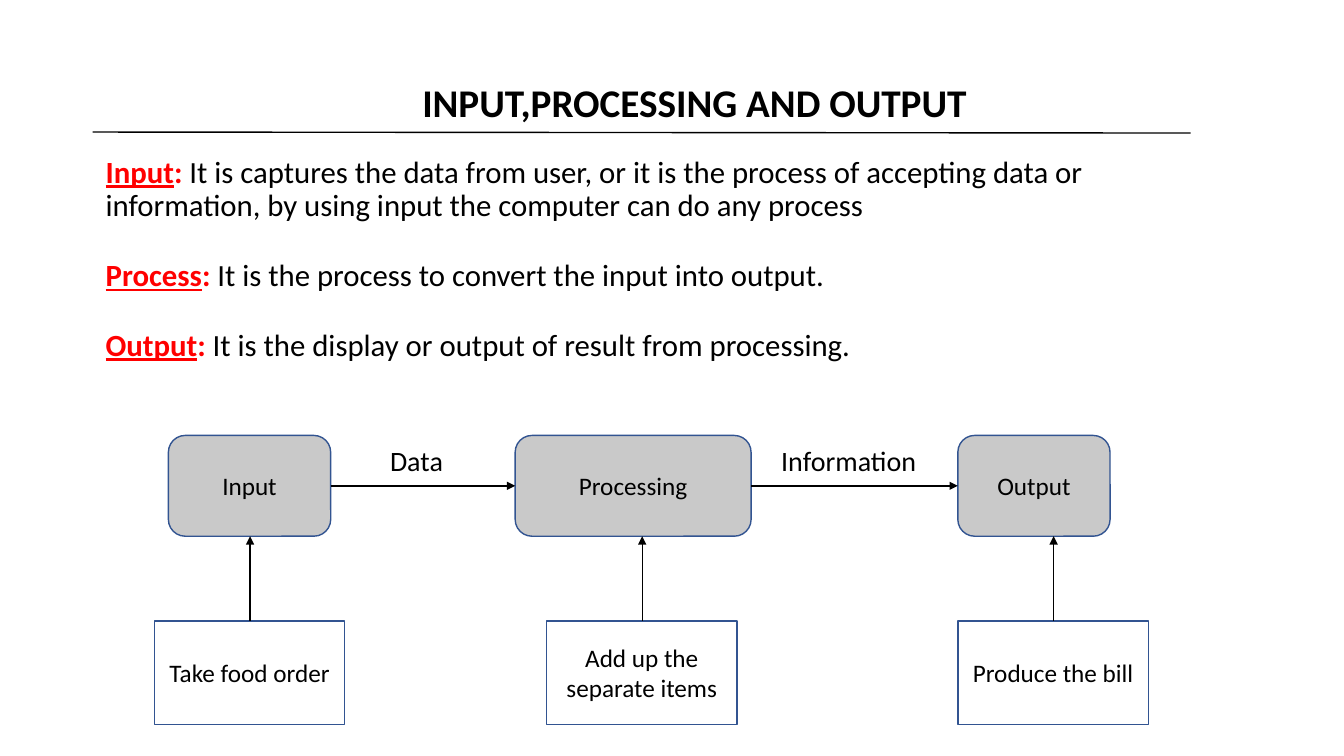
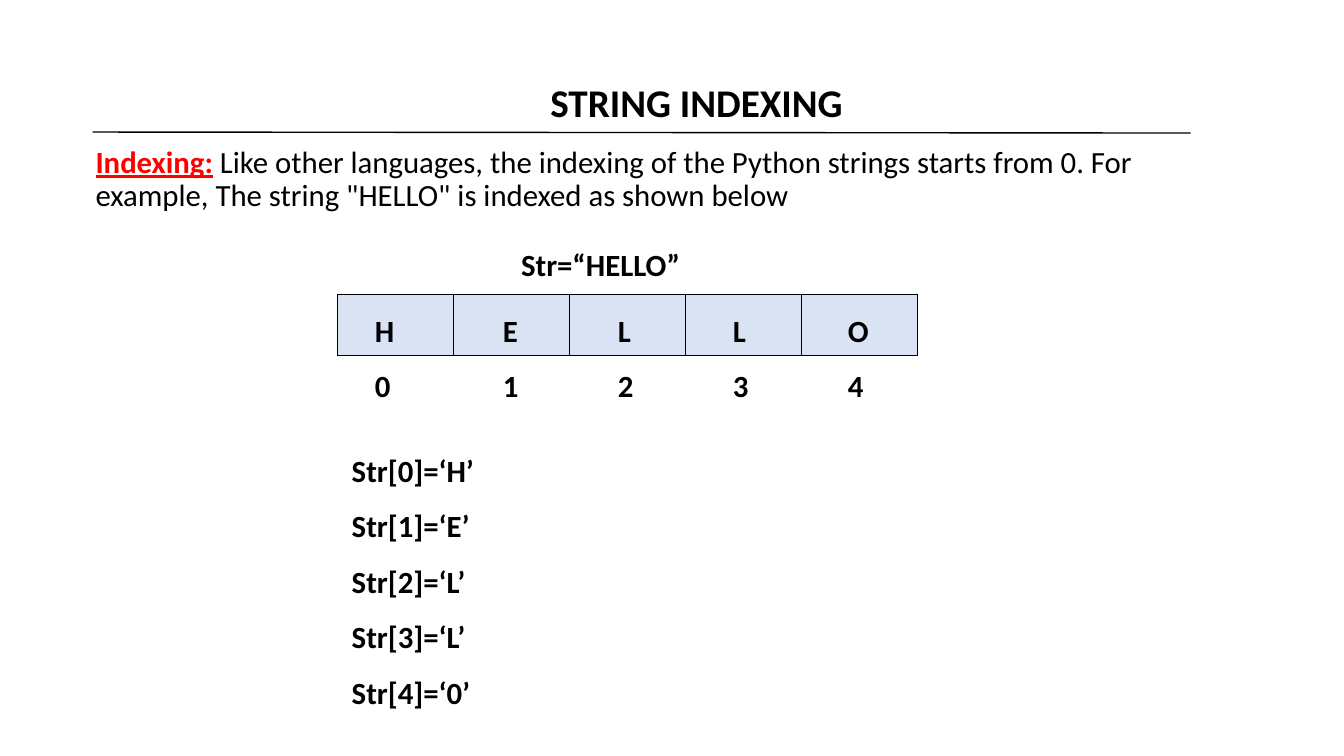
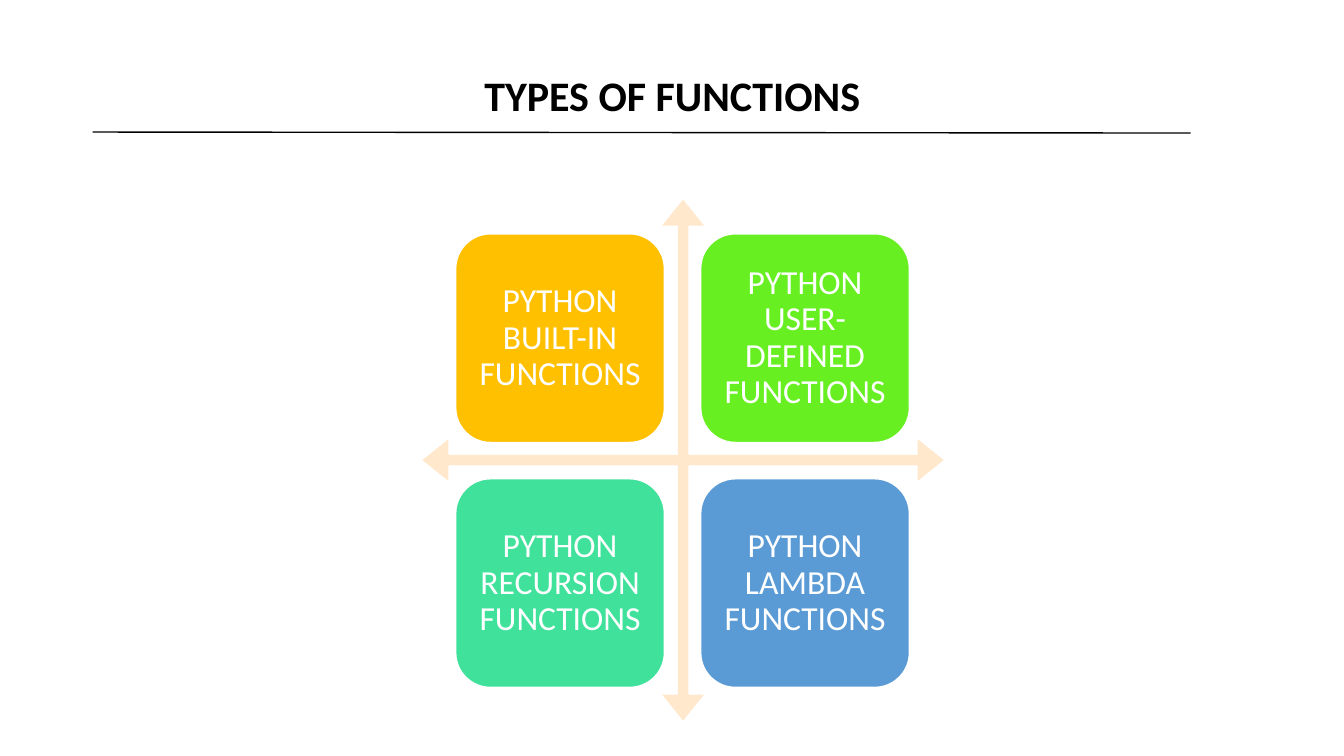
"""Build three slides on input and output, string indexing and function types."""
from dataclasses import dataclass

from lxml import etree
from pptx import Presentation
from pptx import util as u
from pptx.dml.color import RGBColor
from pptx.enum import shapes, text
from pptx.oxml import parse_xml
from pptx.oxml.ns import nsdecls, qn


@dataclass(frozen=True)
class Theme:
    font: str = "Calibri"
    ink: str = "000000"
    key: str = "FF0000"
    edge: str = "325491"
    gray: str = "C9C9C9"
    cell: str = "DAE3F3"
    white: str = "FFFFFF"
    cross: str = "FFE8CC"
    gold: str = "FFC000"
    lime: str = "67EF21"
    mint: str = "3FE19B"
    blue: str = "5B9BD5"
    head: int = 28
    wide: int = 30
    card: int = 24
    body: int = 22
    label: int = 20
    node: int = 18


T = Theme()
PX = u.Inches(1) // 100
LEFT, MID = text.PP_ALIGN.LEFT, text.PP_ALIGN.CENTER
TOP, HALF = text.MSO_ANCHOR.TOP, text.MSO_ANCHOR.MIDDLE
ROUND, RECT = shapes.MSO_SHAPE.ROUNDED_RECTANGLE, shapes.MSO_SHAPE.RECTANGLE


def box(slide, at, paras, size, kind=None, fill=None, edge=None, ink=T.ink,
        bold=False, align=LEFT, anchor=TOP, gaps=(1, 1), before=0):
    spot = [n * PX for n in at]
    if kind is None:
        item = slide.shapes.add_textbox(*spot)
    else:
        item = slide.shapes.add_shape(kind, *spot)
        item.shadow.inherit = False
        item.fill.background()
        item.line.fill.background()
        if fill:
            item.fill.solid()
            item.fill.fore_color.rgb = RGBColor.from_string(fill)
        if edge:
            item.line.color.rgb = RGBColor.from_string(edge)
            item.line.width = u.Pt(1)
    frame = item.text_frame
    frame.word_wrap = True
    frame.vertical_anchor = anchor
    for i, runs in enumerate(paras):
        para = frame.add_paragraph() if i else frame.paragraphs[0]
        para.alignment = align
        para.line_spacing = gaps[i > 0]
        if i:
            para.space_before = u.Pt(before)
        for words, *mark in runs:
            run = para.add_run()
            run.text = words
            font = run.font
            font.name, font.size = T.font, u.Pt(size)
            font.bold = bold or bool(mark)
            font.underline = "line" in mark
            font.color.rgb = RGBColor.from_string(T.key if mark else ink)
    return item


def link(slide, ends, arrow=False):
    wire = slide.shapes.add_connector(shapes.MSO_CONNECTOR.STRAIGHT, *(n * PX for n in ends))
    wire.line.color.rgb = RGBColor.from_string(T.ink)
    wire.line.width = u.Pt(1)
    if arrow:
        etree.SubElement(wire.line._get_or_add_ln(), qn("a:tailEnd"), type="triangle")
    etree.SubElement(wire._element.spPr, qn("a:effectLst"))


deck = Presentation()
deck.slide_width, deck.slide_height = 1333 * PX, 750 * PX

heads = [
    ("INPUT,PROCESSING AND OUTPUT", (409, 73, 800, 57), T.head, LEFT, TOP),
    ("STRING INDEXING", (536, 73, 700, 57), T.head, LEFT, TOP),
    ("TYPES OF FUNCTIONS", (92, 63, 1150, 69), T.wide, MID, HALF),
]
for title, at, size, align, anchor in heads:
    slide = deck.slides.add_slide(deck.slide_layouts[6])
    link(slide, (92, 131, 1181, 132))
    box(slide, at, [[(title,)]], size, bold=True, align=align, anchor=anchor, gaps=(0.9, 1) if align == MID else (1, 1))
flow, index, types = deck.slides

terms = [
    ("Input", "It is captures the data from user, or it is the process of accepting data or "
              "information, by using input the computer can do any process"),
    ("Process", "It is the process to convert the input into output."),
    ("Output", "It is the display or output of result from processing."),
]
paras = [[(term, "line"), (": ", "key"), (words,)] for term, words in terms]
box(flow, (95, 151, 1100, 256), paras, T.body, gaps=(0.9, 1.5), before=10)

steps = [
    ("Input", 167, 161, "Take food order", 153),
    ("Processing", 511, 234, "Add up the separate items", 542),
    ("Output", 950, 151, "Produce the bill", 950),
]
for stage, x, wide, task, left in steps:
    box(flow, (x, 432, wide, 100), [[(stage,)]], T.node, ROUND, T.gray, T.edge, align=MID, anchor=HALF)
    box(flow, (left, 616, 189, 103), [[(task,)]], T.node, RECT, None, T.edge, align=MID, anchor=HALF)
    link(flow, (left + 95, 616, left + 95, 532), True)
for step, after in zip(steps, steps[1:]):
    link(flow, (step[1] + step[2], 482, after[1], 482), True)
for label, x, wide in [("Data", 377, 123), ("Information", 765, 164)]:
    box(flow, (x, 435, wide, 44), [[(label,)]], T.label)

box(index, (85, 141, 1100, 80), [[
    ("Indexing:", "line"),
    (" Like other languages, the indexing of the Python strings starts from 0. "
     "For example, The string \"HELLO\" is indexed as shown below",),
]], T.body, gaps=(0.9, 1))
box(index, (507, 239, 401, 47), [[("Str=“HELLO”",)]], T.body, bold=True)

grid = index.shapes.add_table(1, 5, 335 * PX, 292 * PX, 575 * PX, 61 * PX).table
grid.first_row = grid.horz_banding = False
for cell in grid.iter_cells():
    for side in ("lnL", "lnR", "lnT", "lnB"):
        cell._tc.get_or_add_tcPr().append(parse_xml(
            f'<a:{side} {nsdecls("a")} w="12700"><a:solidFill>'
            f'<a:srgbClr val="{T.ink}"/></a:solidFill></a:{side}>'))
    cell.fill.solid()
    cell.fill.fore_color.rgb = RGBColor.from_string(T.cell)

rows = [[("\t".join(row),)] for row in ("HELLO", "01234")]
chars = box(index, (362, 304, 546, 103), rows, T.body, bold=True, gaps=(1, 1.5))
for para in chars.text_frame.paragraphs:
    tabs = etree.SubElement(para._p.get_or_add_pPr(), qn("a:tabLst"))
    for i in range(4):
        etree.SubElement(tabs, qn("a:tab"), pos=str((127 + 114 * i) * PX), algn="l")

items = [[(f"Str[{i}]=‘{char}’",)] for i, char in enumerate("HELL0")]
box(index, (339, 425, 168, 320), items, T.body, bold=True, gaps=(1.5, 1.5))

cross = box(types, (419, 198, 517, 517), [], T.card, shapes.MSO_SHAPE.QUAD_ARROW, T.cross)
for i, part in enumerate((0.02, 0.04, 0.05)):
    cross.adjustments[i] = part
cards = [("BUILT-IN", T.gold), ("USER-DEFINED", T.lime), ("RECURSION", T.mint), ("LAMBDA", T.blue)]
for i, (name, fill) in enumerate(cards):
    at = (452 + i % 2 * 243, 232 + i // 2 * 243, 207, 207)
    box(types, at, [[(f"PYTHON {name} FUNCTIONS",)]], T.card, ROUND, fill, T.white,
        T.white, align=MID, anchor=HALF, gaps=(0.9, 1))

deck.save("out.pptx")
